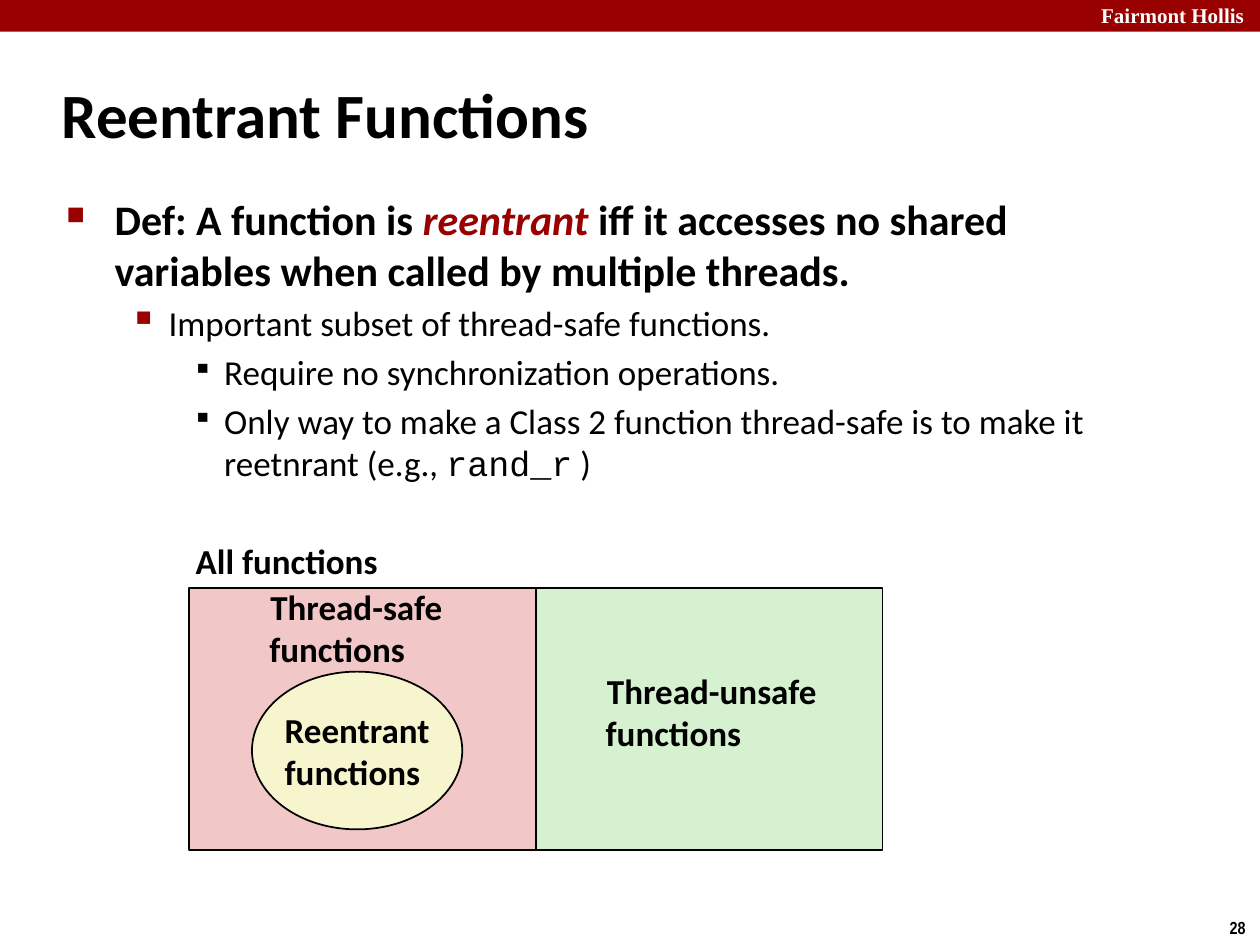
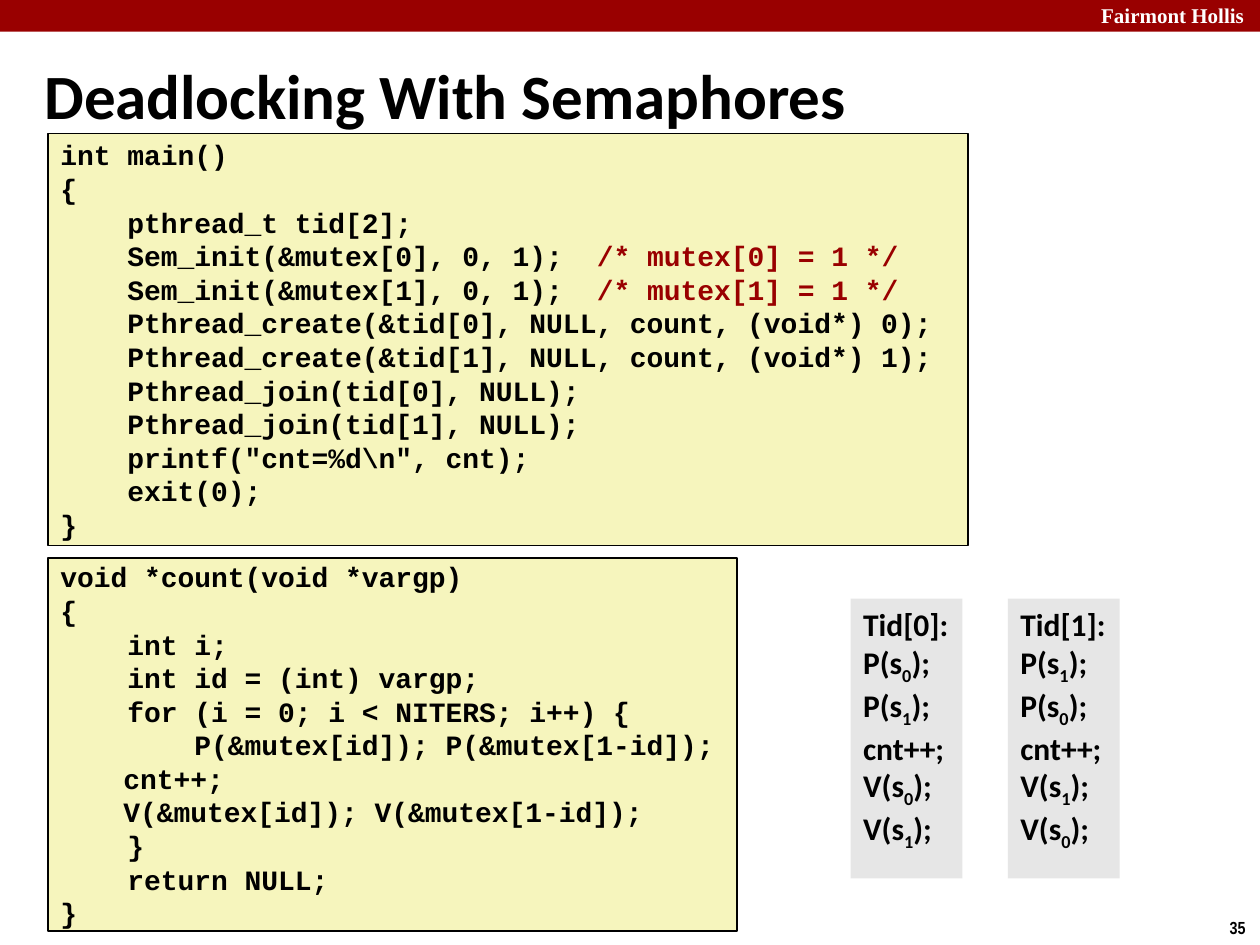
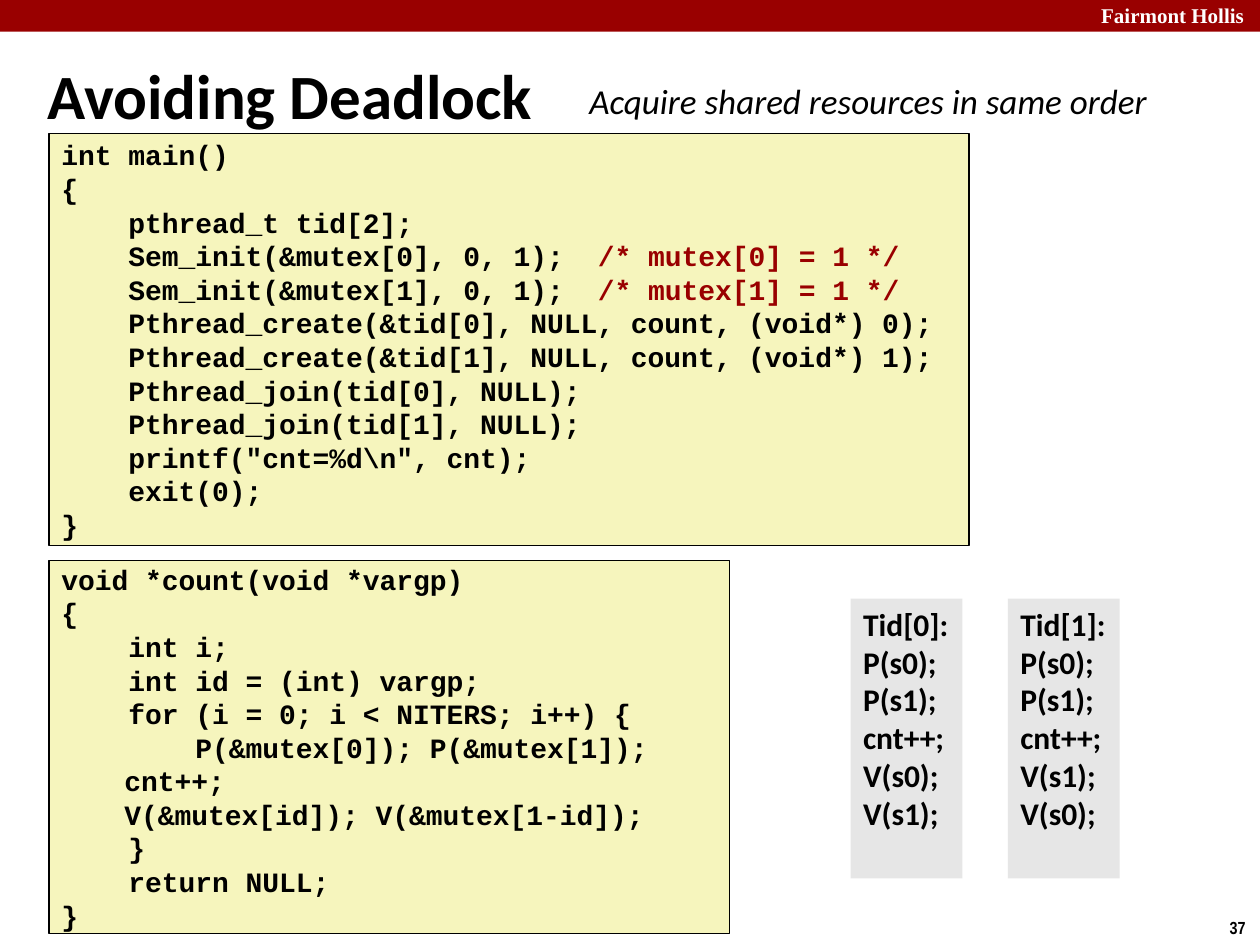
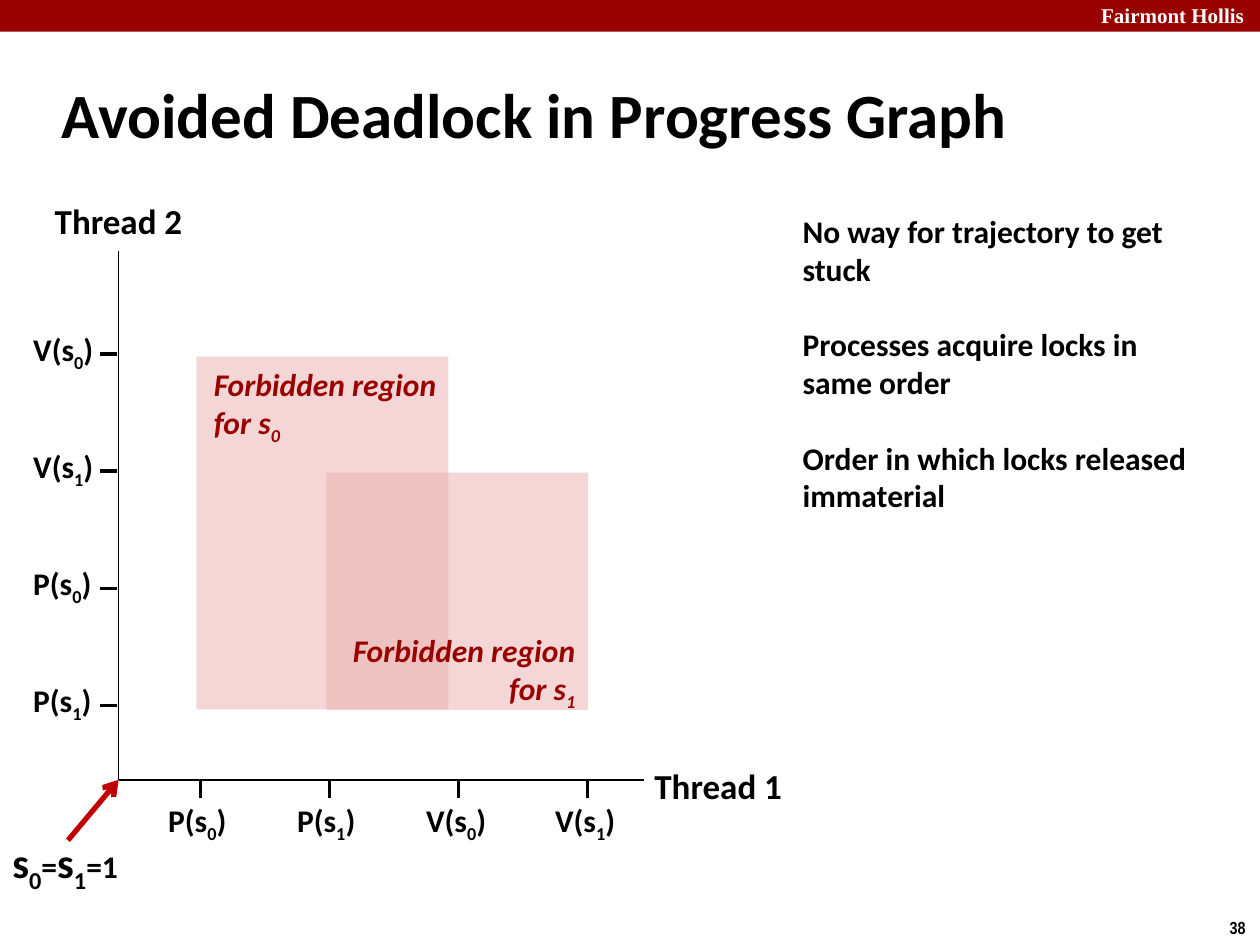
from itertools import cycle

from lxml import etree
from pptx import Presentation
from pptx.dml.color import RGBColor
from pptx.enum.shapes import MSO_CONNECTOR, MSO_SHAPE
from pptx.enum.text import MSO_ANCHOR, MSO_AUTO_SIZE, PP_ALIGN
from pptx.oxml.ns import qn
from pptx.util import Cm, Pt

RECT, OVAL = MSO_SHAPE.RECTANGLE, MSO_SHAPE.OVAL
STRAIGHT = MSO_CONNECTOR.STRAIGHT
TOP, MIDDLE = MSO_ANCHOR.TOP, MSO_ANCHOR.MIDDLE
NO_FIT, GROW = MSO_AUTO_SIZE.NONE, MSO_AUTO_SIZE.SHAPE_TO_FIT_TEXT
LEFT, CENTER, RIGHT = PP_ALIGN.LEFT, PP_ALIGN.CENTER, PP_ALIGN.RIGHT
TITLE_ONLY = 5

COLORS = {
    "black": "000000", "white": "FFFFFF", "red": "990000", "arrow": "C00000",
    "code": "F6F5BD", "grey": "E6E6E6", "safe": "F1C7C7",
    "unsafe": "D5F1CF", "reentrant": "F7F5CD", "region": "EBAFAF",
}

# Text formats
BASE = {"name": "Calibri", "size": Pt(20), "bold": True, "color": "black"}
TITLE = {**BASE, "size": Pt(36)}
SMALL = {**BASE, "size": Pt(18)}
PLAIN = {**BASE, "bold": False}
CODE = {**BASE, "name": "Courier New", "size": Pt(16)}
HEADER = {**BASE, "name": "Times New Roman", "size": Pt(12), "color": "white"}
NUMBER = {**BASE, "name": "Arial Narrow", "size": Pt(10)}
REGION = {**SMALL, "italic": True, "color": "red"}
# Formats for the parts of a line set between tildes
SUB = {"baseline": "-25000"}
COMMENT = {"color": "red"}

# Bullet levels: left margin, hanging indent, character, size %, colour
BULLETS = [
    (Cm(0.97), Cm(0.97), "■", 60, "red"),
    (Cm(2.06), Cm(0.79), "▪", 110, "red"),
    (Cm(3.18), Cm(0.64), "▪", 80, "black"),
]


def rgb(color):
    return RGBColor.from_string(COLORS[color])


class Deck:
    def __init__(self):
        self.prs = Presentation()
        self.prs.slide_width, self.prs.slide_height = Cm(25.4), Cm(19.05)
        self.s = None

    def slide(self, title, number, left=0.99, top=1.22):
        """Start a slide with the shared band, title and number."""
        self.s = self.prs.slides.add_slide(self.prs.slide_layouts[TITLE_ONLY])
        sp = self.s.shapes.title
        sp.left, sp.top, sp.width, sp.height = Cm(left), Cm(top), Cm(21.08), Cm(2.11)
        self.fill_text(sp, [title], TITLE, anchor=MIDDLE, wrap=True)
        self.shape(RECT, 0, 0, 25.4, 0.64, "red")
        self.text(21.95, -0.08, 3.63, 0.76, ["Fairmont Hollis"], HEADER, wrap=True)
        self.text(24.54, 18.36, 0.86, 0.69, [str(number)], NUMBER)

    def run(self, p, text, fmt):
        r = p.add_run()
        r.text = text
        for key, value in fmt.items():
            if key == "color":
                r.font.color.rgb = rgb(value)
            elif key == "baseline":
                r._r.get_or_add_rPr().set(key, value)
            else:
                setattr(r.font, key, value)

    def line_of_text(self, p, line, fmt, alt):
        """Add one line; the parts between tildes also take the alt format."""
        for i, part in enumerate(line.split("~")):
            if part:
                self.run(p, part, {**fmt, **alt} if i % 2 else fmt)

    def fill_text(self, sp, lines, fmt, alt=SUB, align=(LEFT,), anchor=TOP,
                  wrap=False, grow=None, flat=False, gap=None):
        tf = sp.text_frame
        tf.word_wrap, tf.vertical_anchor = wrap, anchor
        tf.auto_size = GROW if (not wrap if grow is None else grow) else NO_FIT
        if flat:
            tf.margin_top = tf.margin_bottom = 0
        for i, (line, side) in enumerate(zip(lines, cycle(align))):
            p = tf.add_paragraph() if i else tf.paragraphs[0]
            p.alignment = side
            if gap and i:
                p.space_before = gap
            self.line_of_text(p, line, fmt, alt)
        return sp

    def text(self, x, y, w, h, lines, fmt=BASE, **options):
        sp = self.s.shapes.add_textbox(Cm(x), Cm(y), Cm(w), Cm(h))
        return self.fill_text(sp, lines, fmt, **options)

    def shape(self, kind, x, y, w, h, fill, outline=False, alpha=None):
        sp = self.s.shapes.add_shape(kind, Cm(x), Cm(y), Cm(w), Cm(h))
        sp.shadow.inherit = False
        sp.fill.solid()
        sp.fill.fore_color.rgb = rgb(fill)
        if alpha:
            clr = sp._element.spPr.find(".//" + qn("a:srgbClr"))
            etree.SubElement(clr, qn("a:alpha"), val=str(alpha * 1000))
        if outline:
            sp.line.color.rgb = rgb("black")
            sp.line.width = Pt(1)
        else:
            sp.line.fill.background()
        return sp

    def code(self, x, y, w, h, lines):
        sp = self.shape(RECT, x, y, w, h, "code", outline=True)
        self.fill_text(sp, lines, CODE, alt=COMMENT, anchor=MIDDLE, flat=True)

    def threads(self, *orders):
        """Grey boxes with the lock order of each thread."""
        for i, steps in enumerate(orders):
            sp = self.shape(RECT, 17.15 + 3.17 * i, 12.07, 2.25, 5.64, "grey")
            self.fill_text(sp, [f"Tid[{i}]:", *steps], SMALL, wrap=True)

    def bullets(self, x, y, w, h, items):
        tf = self.s.shapes.add_textbox(Cm(x), Cm(y), Cm(w), Cm(h)).text_frame
        tf.word_wrap = True
        for i, (level, line, fmt, alt) in enumerate(items):
            margin, hang, char, size, color = BULLETS[level]
            p = tf.add_paragraph() if i else tf.paragraphs[0]
            p.level = level
            p.space_before = int(fmt["size"] * 0.2)
            pPr = p._p.get_or_add_pPr()
            pPr.set("marL", str(margin))
            pPr.set("indent", str(-hang))
            clr = etree.SubElement(pPr, qn("a:buClr"))
            etree.SubElement(clr, qn("a:srgbClr"), val=COLORS[color])
            etree.SubElement(pPr, qn("a:buSzPct"), val=str(size * 1000))
            etree.SubElement(pPr, qn("a:buChar"), char=char)
            self.line_of_text(p, line, fmt, alt)

    def line(self, x1, y1, x2, y2, width=1, color="black", arrow=False):
        c = self.s.shapes.add_connector(STRAIGHT, Cm(x1), Cm(y1), Cm(x2), Cm(y2))
        c.line.color.rgb = rgb(color)
        c.line.width = Pt(width)
        spPr = c._element.spPr
        if arrow:
            etree.SubElement(spPr.find(qn("a:ln")), qn("a:tailEnd"), type="arrow")
        etree.SubElement(spPr, qn("a:effectLst"))


MAIN_CODE = [
    "int main()",
    "{",
    "    pthread_t tid[2];",
    *[f"    Sem_init(&mutex[{i}], 0, 1);  ~/* mutex[{i}] = 1 */~" for i in (0, 1)],
    *[f"    Pthread_create(&tid[{i}], NULL, count, (void*) {i});" for i in (0, 1)],
    *[f"    Pthread_join(tid[{i}], NULL);" for i in (0, 1)],
    '    printf("cnt=%d\\n", cnt);',
    "    exit(0);",
    "}",
]


def count_code(first, second):
    return [
        "void *count(void *vargp)",
        "{",
        "    int i;",
        "    int id = (int) vargp;",
        "    for (i = 0; i < NITERS; i++) {",
        f"        P(&mutex[{first}]); P(&mutex[{second}]);",
        "\tcnt++;",
        "\tV(&mutex[id]); V(&mutex[1-id]);",
        "    }",
        "    return NULL;",
        "}",
    ]


def lock_steps(acquire, release, mark=""):
    return [*[f"P(s{mark}{n}{mark});" for n in acquire], "cnt++;",
            *[f"V(s{mark}{n}{mark});" for n in release]]


def reentrant_slide(d):
    d.slide("Reentrant Functions", 28)
    d.bullets(1.09, 3.78, 21.95, 6.53, [
        (0, "Def: A function is ~reentrant ~iff it accesses no shared variables "
            "when called by multiple threads.",
         {**BASE, "size": Pt(24)}, {"color": "red", "italic": True}),
        (1, "Important subset of thread-safe functions.", PLAIN, {}),
        (2, "Require no synchronization operations.", PLAIN, {}),
        (2, "Only way to make a Class 2 function thread-safe is to make it "
            "reetnrant (e.g., ~rand_r~ )", PLAIN, {"name": "Courier New"}),
    ])
    # Sets of functions
    label = {"align": (CENTER, LEFT), "anchor": MIDDLE}
    for i, fill in enumerate(("safe", "unsafe")):
        d.shape(RECT, 3.81 + 6.99 * i, 11.86, 6.99, 5.28, fill, outline=True)
    sp = d.shape(OVAL, 5.08, 13.54, 4.24, 3.18, "reentrant", outline=True)
    d.fill_text(sp, ["Reentrant", "functions"], BASE, grow=False, **label)
    d.text(3.66, 10.74, 4.24, 1.12, ["All functions"], **label)
    d.text(11.96, 13.36, 4.78, 1.96, ["Thread-unsafe", "functions"], **label)
    d.text(5.18, 11.68, 4.01, 1.96, ["Thread-safe", "functions"], **label)


def deadlock_slide(d):
    d.slide("Deadlocking With Semaphores", 35, 0.64, 0.84)
    d.code(0.97, 2.69, 18.54, 8.31, MAIN_CODE)
    d.code(0.97, 11.25, 13.89, 7.52, count_code("id", "1-id"))
    d.threads(lock_steps("01", "01", "~"), lock_steps("10", "10", "~"))


def avoiding_slide(d):
    d.slide("Avoiding Deadlock", 37, 0.71, 0.84)
    d.code(0.99, 2.69, 18.54, 8.31, MAIN_CODE)
    d.code(0.99, 11.3, 13.72, 7.52, count_code(0, 1))
    d.threads(lock_steps("01", "01"), lock_steps("01", "10"))
    d.text(11.63, 1.47, 11.84, 1.12, ["Acquire shared resources in same order"],
           {**PLAIN, "italic": True})


def progress_slide(d):
    d.slide("Avoided Deadlock in Progress Graph", 38)
    # Axes
    x0, y0 = 2.39, 15.72
    d.line(x0, y0, 12.98, y0)
    d.line(x0, y0, x0, 5.05)
    for x, y, name in ((12.93, 15.27, "Thread 1"), (0.84, 3.89, "Thread 2")):
        d.text(x, y, 3.1, 1.12, [name], align=(CENTER,), anchor=MIDDLE)
    # Ticks and their labels
    for i, name in enumerate(("P(s~0~)", "P(s~1~)", "V(s~0~)", "V(s~1~)")):
        x = 4.04 + 2.6 * i
        d.line(x, y0, x, y0 + 0.36, 2)
        d.text(x - 0.9, 16.08, 1.74, 1.02, [name], SMALL, anchor=MIDDLE)
    for i, name in enumerate(("V(s~0~)", "V(s~1~)", "P(s~0~)", "P(s~1~)")):
        y = 7.14 + 2.36 * i
        d.line(2.01, y, 2.36, y, 2)
        d.text(0.42, y - 0.56, 1.74, 1.02, [name], SMALL, anchor=MIDDLE)
    # Forbidden regions
    d.shape(RECT, 3.96, 7.19, 5.08, 7.11, "region", alpha=50)
    d.shape(RECT, 6.58, 9.53, 5.28, 4.78, "region", alpha=50)
    for n, (x, y, side) in enumerate(((4.06, 7.24, LEFT), (6.63, 12.6, RIGHT))):
        d.text(x, y, 5.22, 1.8, ["Forbidden region", f"for s~{n}~"], REGION,
               align=(side,))
    # Starting point
    sp = d.text(0, 16.94, 2.74, 1.02, [""], anchor=MIDDLE, flat=True)
    p = sp.text_frame.paragraphs[0]
    for n, rest in enumerate(("=", "=1")):
        d.line_of_text(p, f"s~{n}~", {**BASE, "size": Pt(24)}, SUB)
        d.run(p, rest, SMALL)
    d.line(1.37, 16.94, x0, y0, 3, "arrow", arrow=True)
    # Remarks
    d.text(15.93, 4.27, 8.64, 6.1, [
        "No way for trajectory to get stuck",
        "Processes acquire locks in same order",
        "Order in which locks released immaterial",
    ], SMALL, wrap=True, flat=True, gap=Pt(21.6))


def main():
    d = Deck()
    for build in (reentrant_slide, deadlock_slide, avoiding_slide, progress_slide):
        build(d)
    d.prs.save("out.pptx")


if __name__ == "__main__":
    main()
